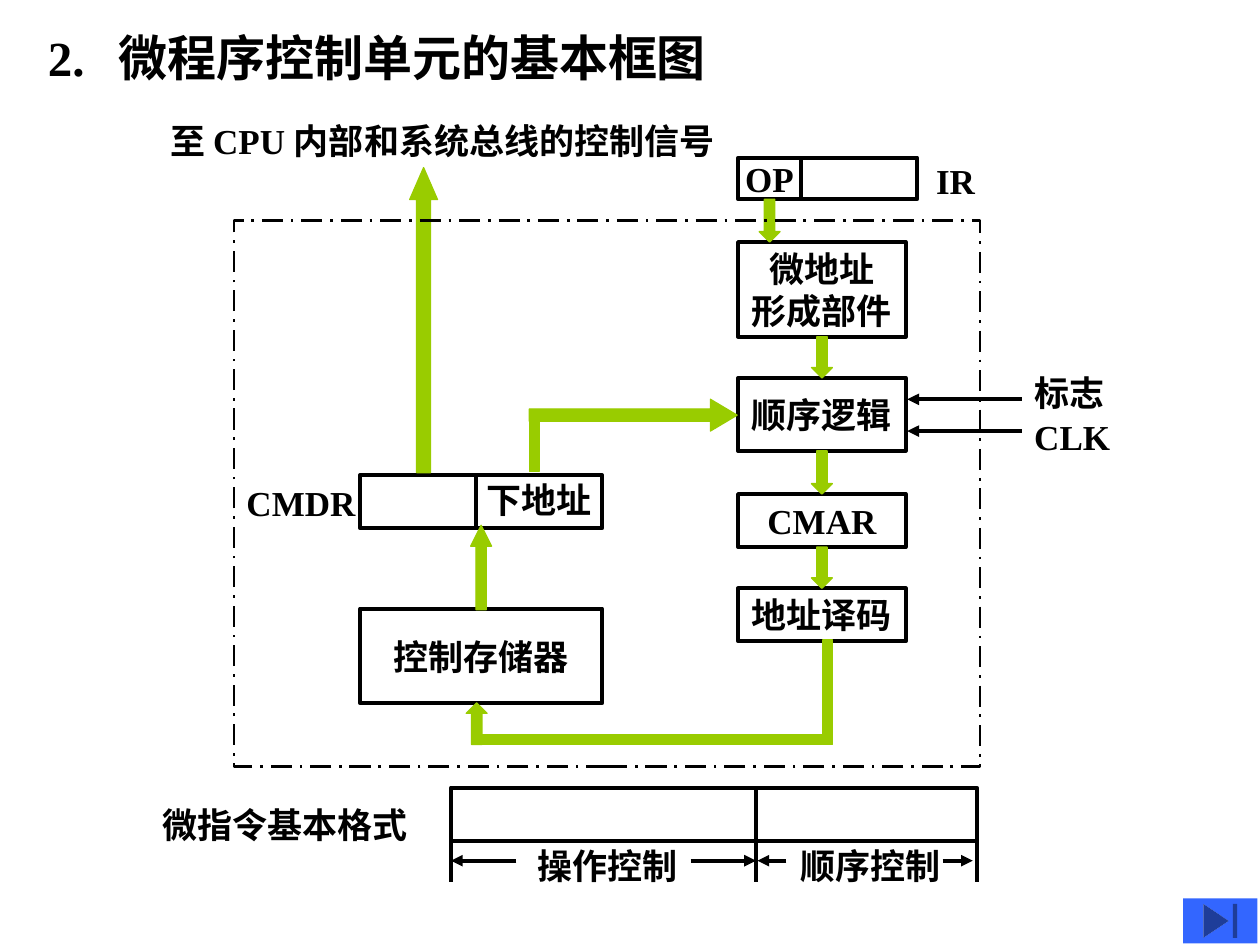
from lxml.etree import SubElement
from pptx import Presentation
from pptx.dml.color import RGBColor
from pptx.enum.dml import MSO_LINE
from pptx.enum.shapes import MSO_CONNECTOR, MSO_SHAPE
from pptx.enum.text import MSO_ANCHOR, MSO_AUTO_SIZE, PP_ALIGN
from pptx.oxml.ns import qn
from pptx.util import Cm, Pt

BLACK = RGBColor(0x00, 0x00, 0x00)
GREEN = RGBColor(0x99, 0xCC, 0x00)
BLUE = RGBColor(0x33, 0x66, 0xFF)
FONT = "Times New Roman"

# Main column of stages: (text, top, height)
COLUMN_LEFT, COLUMN_WIDTH = 14.88, 3.38
STAGES = [
    ("微地址\n形成部件", 4.88, 1.91),
    ("顺序逻辑", 7.62, 1.47),
    ("CMAR", 9.96, 1.07),
    ("地址译码", 11.86, 1.07),
]
STORE_LEFT, STORE_TOP, STORE_WIDTH = 7.26, 12.27, 4.88
REGISTER_TOP, ROW_HEIGHT = 9.58, 1.07
OP_LEFT, OP_TOP, OP_WIDTH, OP_HEIGHT = 14.88, 3.18, 1.27, 0.84
ARROW_WIDTH, BAR = 0.42, 0.2

# Text, left, top, width
LABELS = [
    ("至 CPU 内部和系统总线的控制信号", 3.18, 2.29, 12.7),
    ("IR", 18.62, 3.1, 2.11),
    ("标志", 20.6, 7.37, 2.1),
    ("CLK", 20.6, 8.26, 2.2),
    ("下地址", 9.55, 9.53, 2.7),
    ("CMDR", 4.72, 9.58, 2.85),
    ("微指令基本格式", 3.02, 16.08, 5.6),
    ("操作控制", 10.59, 16.89, 3.45),
    ("顺序控制", 15.88, 16.89, 3.45),
]


def format_text(frame, size=20, align=PP_ALIGN.LEFT):
    frame.word_wrap = False
    for para in frame.paragraphs:
        para.alignment = align
        for span in para.runs:
            span.font.name = FONT
            span.font.size = Pt(size)
            span.font.bold = True
            span.font.color.rgb = BLACK


def add_title(page, text):
    title = page.shapes.title
    title.left, title.top, title.width, title.height = Cm(0.71), Cm(0.43), Cm(13.82), Cm(1.45)
    frame = title.text_frame
    frame.text = text
    frame.auto_size = MSO_AUTO_SIZE.NONE
    frame.vertical_anchor = MSO_ANCHOR.TOP
    tabs = SubElement(frame.paragraphs[0]._p.get_or_add_pPr(), qn("a:tabLst"))
    SubElement(tabs, qn("a:tab"), pos=str(Cm(1.43)), algn="l")
    format_text(frame, size=28)


def add_label(page, text, left, top, width):
    box = page.shapes.add_textbox(Cm(left), Cm(top), Cm(width), Cm(1.12))
    box.text_frame.text = text
    box.text_frame.auto_size = MSO_AUTO_SIZE.SHAPE_TO_FIT_TEXT
    format_text(box.text_frame)


def add_box(page, left, top, width, height, text=""):
    box = page.shapes.add_shape(
        MSO_SHAPE.RECTANGLE, Cm(left), Cm(top), Cm(width), Cm(height))
    box.shadow.inherit = False
    box.fill.background()
    box.line.color.rgb = BLACK
    box.line.width = Pt(2.25)
    if text:
        box.text_frame.text = text
        box.text_frame.vertical_anchor = MSO_ANCHOR.MIDDLE
        format_text(box.text_frame, align=PP_ALIGN.CENTER)
    return box


def add_flow(page, kind, left, top, width, height, adjustments=()):
    """Add a green block arrow, or a plain bar that continues one."""
    flow = page.shapes.add_shape(kind, Cm(left), Cm(top), Cm(width), Cm(height))
    flow.shadow.inherit = False
    flow.fill.solid()
    flow.fill.fore_color.rgb = GREEN
    flow.line.color.rgb = GREEN
    flow.line.width = Pt(0.75)
    for index, value in enumerate(adjustments):
        flow.adjustments[index] = value


def add_down_arrow(page, center, top, bottom):
    add_flow(page, MSO_SHAPE.DOWN_ARROW, center - ARROW_WIDTH / 2, top,
             ARROW_WIDTH, bottom - top)


def add_line(page, x1, y1, x2, y2, arrow=False):
    line = page.shapes.add_connector(
        MSO_CONNECTOR.STRAIGHT, Cm(x1), Cm(y1), Cm(x2), Cm(y2))
    line.line.color.rgb = BLACK
    line.line.width = Pt(2.25)
    if arrow:
        SubElement(line.line._get_or_add_ln(), qn("a:tailEnd"), type="triangle")
    SubElement(line._element.spPr, qn("a:effectLst"))


def add_stage_column(page):
    center = COLUMN_LEFT + COLUMN_WIDTH / 2
    for text, top, height in STAGES:
        add_box(page, COLUMN_LEFT, top, COLUMN_WIDTH, height, text)
    for (_, top, height), (_, next_top, _) in zip(STAGES, STAGES[1:]):
        add_down_arrow(page, center, top + height, next_top)
    for y in (8.05, 8.69):
        add_line(page, 20.6, y, 18.29, y, arrow=True)


def add_instruction_register(page):
    add_box(page, OP_LEFT, OP_TOP, OP_WIDTH, OP_HEIGHT, "OP")
    add_box(page, OP_LEFT + OP_WIDTH, OP_TOP, 2.34, OP_HEIGHT)
    add_down_arrow(page, OP_LEFT + OP_WIDTH / 2, OP_TOP + OP_HEIGHT, STAGES[0][1])


def add_store_and_register(page):
    add_box(page, STORE_LEFT, STORE_TOP, STORE_WIDTH, 1.91, "控制存储器")
    add_box(page, STORE_LEFT, REGISTER_TOP, STORE_WIDTH, ROW_HEIGHT)
    add_line(page, 9.6, REGISTER_TOP, 9.6, REGISTER_TOP + ROW_HEIGHT)


def add_feedback_flows(page):
    bar, up = MSO_SHAPE.RECTANGLE, MSO_SHAPE.UP_ARROW
    # Store to register, and register to the control signals
    store_center = STORE_LEFT + STORE_WIDTH / 2
    add_flow(page, up, store_center - ARROW_WIDTH / 2, 10.59, ARROW_WIDTH, 1.7, (0.5, 1.0))
    add_flow(page, up, 8.26, 3.38, 0.56, 6.15, (0.5, 1.15))
    # Next address to sequence logic
    add_flow(page, MSO_SHAPE.RIGHT_ARROW, 10.67, 8.05, 4.19, 0.64, (0.39, 0.84))
    add_flow(page, bar, 10.67, 8.28, BAR, 1.22)
    # Address decoder back to the store
    add_flow(page, bar, 16.59, 12.9, BAR, 2.11)
    add_flow(page, up, 9.4, 14.17, ARROW_WIDTH, 0.84)
    add_flow(page, bar, 9.6, 14.81, 6.98, BAR)


def add_unit_border(page):
    border = add_box(page, 4.72, 4.45, 15.04, 11)
    border.line.width = Pt(1.5)
    border.line.dash_style = MSO_LINE.LONG_DASH_DOT


def add_instruction_format(page):
    edges = [9.09, 15.24, 19.69]
    for left, right in zip(edges, edges[1:]):
        add_box(page, left, 15.88, right - left, ROW_HEIGHT)
    for x in edges:
        add_line(page, x, 16.71, x, 17.78)
    for start, end in ((10.41, 9.09), (13.92, 15.24), (15.85, 15.27), (19, 19.61)):
        add_line(page, start, 17.35, end, 17.35, arrow=True)


def add_end_button(page):
    button = page.shapes.add_shape(
        MSO_SHAPE.ACTION_BUTTON_END, Cm(23.85), Cm(18.11), Cm(1.5), Cm(0.91))
    button.shadow.inherit = False
    button.fill.solid()
    button.fill.fore_color.rgb = BLUE
    button.line.fill.background()


def main():
    deck = Presentation()
    deck.slide_width, deck.slide_height = Cm(25.4), Cm(19.05)
    page = deck.slides.add_slide(deck.slide_layouts[5])
    add_title(page, "2.\t微程序控制单元的基本框图")
    add_stage_column(page)
    add_instruction_register(page)
    add_store_and_register(page)
    add_feedback_flows(page)
    add_unit_border(page)
    add_instruction_format(page)
    for label in LABELS:
        add_label(page, *label)
    add_end_button(page)
    deck.save("out.pptx")


if __name__ == "__main__":
    main()
